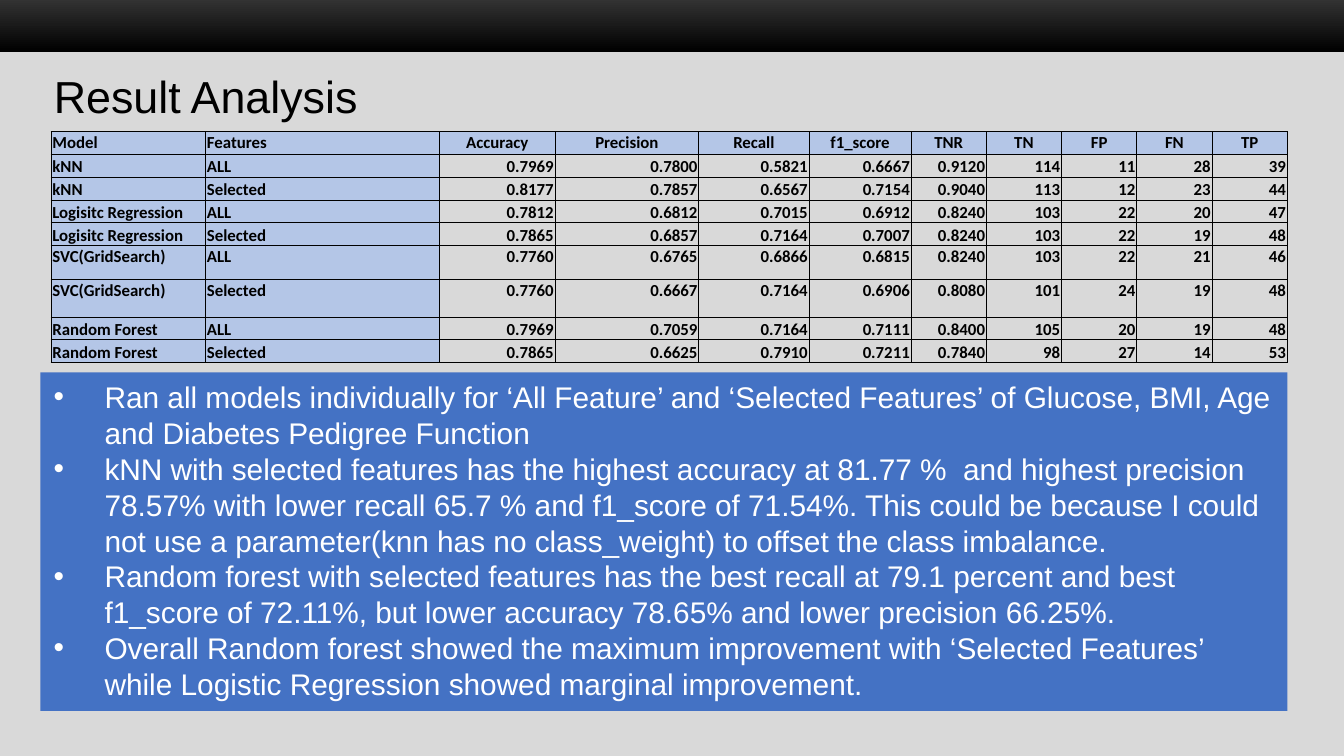
from lxml import etree
from pptx import Presentation
from pptx.dml.color import RGBColor
from pptx.enum import shapes, text
from pptx.oxml import ns
from pptx.util import Inches, Pt

HEADERS = ["Model", "Features", "Accuracy", "Precision", "Recall",
           "f1_score", "TNR", "TN", "FP", "FN", "TP"]
RESULTS = [
    ["kNN", "ALL", "0.7969", "0.7800", "0.5821", "0.6667", "0.9120", "114", "11", "28", "39"],
    ["kNN", "Selected", "0.8177", "0.7857", "0.6567", "0.7154", "0.9040", "113", "12", "23", "44"],
    ["Logisitc Regression", "ALL", "0.7812", "0.6812", "0.7015", "0.6912", "0.8240", "103", "22", "20", "47"],
    ["Logisitc Regression", "Selected", "0.7865", "0.6857", "0.7164", "0.7007", "0.8240", "103", "22", "19", "48"],
    ["SVC(GridSearch)", "ALL", "0.7760", "0.6765", "0.6866", "0.6815", "0.8240", "103", "22", "21", "46"],
    ["SVC(GridSearch)", "Selected", "0.7760", "0.6667", "0.7164", "0.6906", "0.8080", "101", "24", "19", "48"],
    ["Random Forest", "ALL", "0.7969", "0.7059", "0.7164", "0.7111", "0.8400", "105", "20", "19", "48"],
    ["Random Forest", "Selected", "0.7865", "0.6625", "0.7910", "0.7211", "0.7840", "98", "27", "14", "53"],
]
COL_WIDTHS = [1.15, 1.74, 0.86, 1.07, 0.82, 0.76] + [0.56] * 5
ROW_HEIGHTS = [0.17] * 5 + [0.25, 0.28] + [0.17] * 2
FINDINGS = [
    "Ran all models individually for ‘All Feature’ and ‘Selected Features’ of Glucose, BMI, Age "
    "and Diabetes Pedigree Function",
    "kNN with selected features has the highest accuracy at 81.77 %  and highest precision 78.57% "
    "with lower recall 65.7 % and f1_score of 71.54%. This could be because I could not use a "
    "parameter(knn has no class_weight) to offset the class imbalance.",
    "Random forest with selected features has the best recall at 79.1 percent and best f1_score "
    "of 72.11%, but lower accuracy 78.65% and lower precision 66.25%.",
    "Overall Random forest showed the maximum improvement with ‘Selected Features’ while Logistic "
    "Regression showed marginal improvement.",
]


def rgb(color):
    return RGBColor.from_string(color)


def add_run(p, words, size, font, color, bold=False):
    r = p.add_run()
    r.text = words
    r.font.size = Pt(size)
    r.font.name = font
    r.font.bold = bold
    r.font.color.rgb = rgb(color)


def add_rect(slide, box):
    sp = slide.shapes.add_shape(shapes.MSO_SHAPE.RECTANGLE, *map(Inches, box))
    sp.shadow.inherit = False
    sp.line.fill.background()
    return sp


def add_top_band(slide, box):
    sp = add_rect(slide, box)
    sp.fill.gradient()
    sp.fill.gradient_angle = 270
    for stop, color, position in zip(sp.fill.gradient_stops, ("333333", "000000"), (0, 1)):
        stop.color.rgb = rgb(color)
        stop.position = position
    slide.shapes[0].element.addprevious(sp.element)


def set_title(slide, box, words):
    sp = slide.shapes.title
    sp.left, sp.top, sp.width, sp.height = map(Inches, box)
    tf = sp.text_frame
    tf.word_wrap = True
    tf.vertical_anchor = text.MSO_ANCHOR.MIDDLE
    p = tf.paragraphs[0]
    p.alignment = text.PP_ALIGN.LEFT
    p.line_spacing = 0.9
    add_run(p, words, 24, "Arial", "000000")


def set_borders(cell, color, width):
    tc_pr = cell._tc.get_or_add_tcPr()
    for i, side in enumerate(("a:lnL", "a:lnR", "a:lnT", "a:lnB")):
        ln = etree.Element(ns.qn(side), w=str(Pt(width)))
        fill = etree.SubElement(ln, ns.qn("a:solidFill"))
        etree.SubElement(fill, ns.qn("a:srgbClr"), val=color)
        tc_pr.insert(i, ln)


def fill_cell(cell, words, row, col):
    is_header, is_label = row == 0, col < 2
    if is_header or is_label:
        cell.fill.solid()
        cell.fill.fore_color.rgb = rgb("B4C6E7")
    else:
        cell.fill.background()
    set_borders(cell, "000000", 0.5)
    cell.margin_left = cell.margin_right = cell.margin_top = Inches(0.01)
    cell.margin_bottom = 0
    at_top = is_header or ROW_HEIGHTS[row] > 0.17
    cell.vertical_anchor = text.MSO_ANCHOR.TOP if at_top else text.MSO_ANCHOR.BOTTOM
    p = cell.text_frame.paragraphs[0]
    if is_label:
        p.alignment = text.PP_ALIGN.LEFT
    else:
        p.alignment = text.PP_ALIGN.CENTER if is_header else text.PP_ALIGN.RIGHT
    add_run(p, words, 9, "Calibri", "000000", bold=True)


def add_results_table(slide, box):
    rows = [HEADERS] + RESULTS
    table = slide.shapes.add_table(len(rows), len(HEADERS), *map(Inches, box)).table
    table.first_row = table.horz_banding = False
    for column, width in zip(table.columns, COL_WIDTHS):
        column.width = Inches(width)
    for row, height in zip(table.rows, ROW_HEIGHTS):
        row.height = Inches(height)
    for i, values in enumerate(rows):
        for j, value in enumerate(values):
            fill_cell(table.cell(i, j), value, i, j)


def add_findings(slide, box):
    sp = add_rect(slide, box)
    sp.fill.solid()
    sp.fill.fore_color.rgb = rgb("4472C4")
    tf = sp.text_frame
    tf.word_wrap = True
    tf.auto_size = text.MSO_AUTO_SIZE.SHAPE_TO_FIT_TEXT
    tf.vertical_anchor = text.MSO_ANCHOR.TOP
    for i, finding in enumerate(FINDINGS):
        p = tf.add_paragraph() if i else tf.paragraphs[0]
        p.alignment = text.PP_ALIGN.LEFT
        p_pr = p._p.get_or_add_pPr()
        p_pr.set("marL", str(Inches(0.38)))
        p_pr.set("indent", str(-Inches(0.38)))
        etree.SubElement(p_pr, ns.qn("a:buFont"), typeface="Arial")
        etree.SubElement(p_pr, ns.qn("a:buChar"), char="•")
        add_run(p, finding, 16, "Arial", "FFFFFF")


def main():
    prs = Presentation()
    prs.slide_width = Inches(10)
    prs.slide_height = prs.slide_width * 9 // 16
    slide = prs.slides.add_slide(prs.slide_layouts[5])
    slide.background.fill.solid()
    slide.background.fill.fore_color.rgb = rgb("D9D9D9")
    add_top_band(slide, (0, -0.01, 10, 0.4))
    set_title(slide, (0.3, 0.4, 9.4, 0.67), "Result Analysis")
    add_results_table(slide, (0.38, 0.98, 9.21, 1.72))
    add_findings(slide, (0.3, 2.77, 9.28, 2.52))
    prs.save("out.pptx")


if __name__ == "__main__":
    main()
